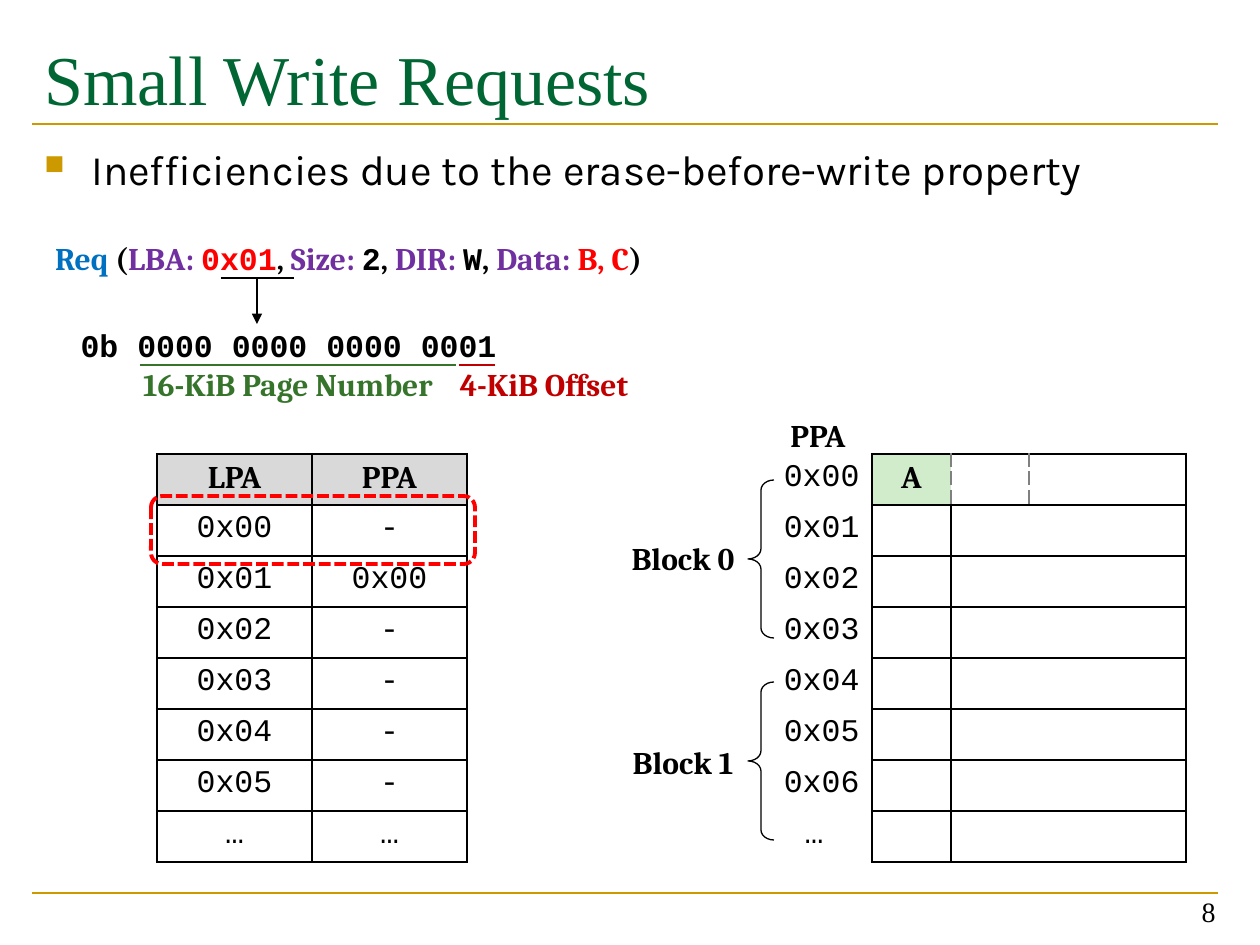
from dataclasses import dataclass
from typing import Optional

import pptx
import pptx.dml.color
import pptx.enum.dml
import pptx.enum.shapes
import pptx.enum.text
import pptx.oxml.ns
import pptx.util
from lxml import etree

RGBColor = pptx.dml.color.RGBColor
Align = pptx.enum.text.PP_ALIGN
Anchor = pptx.enum.text.MSO_ANCHOR
Dash = pptx.enum.dml.MSO_LINE
Preset = pptx.enum.shapes.MSO_SHAPE
Pt = pptx.util.Pt
qn = pptx.oxml.ns.qn

BLACK = RGBColor(0x00, 0x00, 0x00)
WHITE = RGBColor(0xFF, 0xFF, 0xFF)
TITLE_GREEN = RGBColor(0x00, 0x66, 0x33)
GOLD = RGBColor(0xCC, 0x99, 0x00)
BLUE = RGBColor(0x00, 0x70, 0xC0)
PURPLE = RGBColor(0x70, 0x30, 0xA0)
RED = RGBColor(0xFF, 0x00, 0x00)
DARK_RED = RGBColor(0xC0, 0x00, 0x00)
PAGE_GREEN = RGBColor(0x35, 0x74, 0x2A)
HEADER_GREY = RGBColor(0xD9, 0xD9, 0xD9)
DATA_GREEN = RGBColor(0xD0, 0xEC, 0xCB)
DASH_GREY = RGBColor(0x80, 0x80, 0x80)

SERIF, MONO, TITLE_FONT, BODY_FONT = "Cambria", "Courier New", "Times New Roman", "Karla"
EMU_PER_PIXEL = 914400 / 126
NO_TABLE_STYLE = "{2D5ABB26-0587-4C30-8999-92F81FD0307C}"
ROW_HEIGHT, TABLE_TOP = 51, 454


@dataclass
class Label:
    text: str
    box: tuple[int, int, int, int]
    color: RGBColor = BLACK
    font: str = SERIF
    size: int = 18
    bold: bool = True
    align: Align = Align.CENTER
    anchor: Anchor = Anchor.MIDDLE
    wrap: bool = True


@dataclass
class Rule:
    start: tuple[int, int]
    end: tuple[int, int]
    color: RGBColor
    arrow: bool = False


@dataclass
class Border:
    width: float = 1.5
    color: RGBColor = BLACK
    dash: Optional[str] = None


def px(length: int) -> int:
    return round(length * EMU_PER_PIXEL)


def style(paragraph, font: Optional[str], size: int, color: Optional[RGBColor], bold: bool, align: Align) -> None:
    paragraph.alignment = align
    paragraph.font.size = Pt(size)
    paragraph.font.bold = bold
    if font:
        paragraph.font.name = font
    if color is not None:
        paragraph.font.color.rgb = color


def add_label(label: Label):
    frame = slide.shapes.add_textbox(*map(px, label.box)).text_frame
    frame.word_wrap = label.wrap
    frame.vertical_anchor = label.anchor
    paragraph = frame.paragraphs[0]
    paragraph.text = label.text
    style(paragraph, label.font, label.size, label.color, label.bold, label.align)
    return paragraph


def add_rule(rule: Rule) -> None:
    connector = slide.shapes.add_connector(
        pptx.enum.shapes.MSO_CONNECTOR.STRAIGHT, *map(px, rule.start + rule.end))
    connector.line.color.rgb = rule.color
    connector.line.width = Pt(1.5)
    properties = connector.line._get_or_add_ln()
    if rule.arrow:
        etree.SubElement(properties, qn("a:tailEnd"), type="triangle")
    etree.SubElement(properties.getparent(), qn("a:effectLst"))


def add_outline(preset: Preset, box: tuple[int, int, int, int], color: RGBColor, width: float):
    shape = slide.shapes.add_shape(preset, *map(px, box))
    shape.shadow.inherit = False
    shape.fill.background()
    shape.line.color.rgb = color
    shape.line.width = Pt(width)
    return shape


def add_grid(left: int, widths: list[int], row_count: int):
    table = slide.shapes.add_table(
        row_count, len(widths), px(left), px(TABLE_TOP),
        px(sum(widths)), px(ROW_HEIGHT * row_count)).table
    table.first_row = table.horz_banding = False
    table._tbl.tblPr.find(qn("a:tableStyleId")).text = NO_TABLE_STYLE
    for column, width in zip(table.columns, widths):
        column.width = px(width)
    for row in table.rows:
        row.height = px(ROW_HEIGHT)
    return table


def fill_cell(cell, text: str, fill: RGBColor, borders: dict[str, Border],
              font: str = MONO, bold: bool = False, align: Align = Align.CENTER) -> None:
    properties = cell._tc.get_or_add_tcPr()
    for side in "LRTB":
        if side in borders:
            border = borders[side]
            edge = etree.SubElement(properties, qn(f"a:ln{side}"), w=str(Pt(border.width)))
            paint = etree.SubElement(edge, qn("a:solidFill"))
            etree.SubElement(paint, qn("a:srgbClr"), val=str(border.color))
            if border.dash:
                etree.SubElement(edge, qn("a:prstDash"), val=border.dash)
    cell.fill.solid()
    cell.fill.fore_color.rgb = fill
    cell.text = text
    style(cell.text_frame.paragraphs[0], font, 18, BLACK, bold, align)


presentation = pptx.Presentation()
presentation.slide_width, presentation.slide_height = px(1260), px(945)
slide = presentation.slides.add_slide(presentation.slide_layouts[6])

for rule_y in (893, 124):
    add_rule(Rule((32, rule_y), (1218, rule_y), GOLD))

add_label(Label("Small Write Requests", (32, 29, 1187, 95), TITLE_GREEN, TITLE_FONT, 40,
                False, Align.LEFT, Anchor.TOP))
point = add_label(Label("Inefficiencies due to the erase-before-write property", (32, 137, 1187, 70),
                        BLACK, BODY_FONT, 24, False, Align.LEFT, Anchor.TOP))
point.space_before = Pt(4)
point_properties = point._p.get_or_add_pPr()
point_properties.set("marL", str(px(47)))
point_properties.set("indent", str(px(-47)))
bullet_color = etree.Element(qn("a:buClr"))
etree.SubElement(bullet_color, qn("a:srgbClr"), val=str(GOLD))
bullet_size = etree.Element(qn("a:buSzPct"), val="65000")
bullet_mark = etree.Element(qn("a:buChar"), char="■")
for bullet_part in (bullet_color, bullet_size, bullet_mark):
    point_properties.find(qn("a:defRPr")).addprevious(bullet_part)

add_label(Label("8", (934, 871, 294, 63), BLACK, TITLE_FONT, 16, False, Align.RIGHT, Anchor.BOTTOM))

request = add_label(Label("", (32, 233, 640, 50)))
style(request, None, 18, None, True, Align.CENTER)
for words, font, color in (
    ("Req", SERIF, BLUE), (" (", SERIF, BLACK),
    ("LBA: ", SERIF, PURPLE), ("0x01", MONO, RED), (", ", SERIF, BLACK),
    ("Size: ", SERIF, PURPLE), ("2", MONO, BLACK), (", ", SERIF, BLACK),
    ("DIR: ", SERIF, PURPLE), ("W", MONO, BLACK), (", ", SERIF, BLACK),
    ("Data: ", SERIF, PURPLE), ("B, C", SERIF, RED), (") ", SERIF, BLACK),
):
    run = request.add_run()
    run.text = words
    run.font.name = font
    run.font.color.rgb = color

mapping = [("LPA", "PPA"), ("0x00", "-"), ("0x01", "0x00")]
mapping += [(f"0x0{address}", "-") for address in range(2, 6)] + [("…", "…")]
mapping_table = add_grid(157, [155, 155], len(mapping))
for row, entry in enumerate(mapping):
    header = row == 0
    mapping_borders = {
        "L": Border(), "R": Border(),
        "T": Border(1.5 if row <= 1 else 1),
        "B": Border(1.5 if row in (0, len(mapping) - 1) else 1),
    }
    for column, value in enumerate(entry):
        fill_cell(mapping_table.cell(row, column), value, HEADER_GREY if header else WHITE,
                  mapping_borders, SERIF if header else MONO, header)

pages = [f"0x0{address}" for address in range(7)] + ["…"]
flash_table = add_grid(756, [116, 79, 78, 79, 78], len(pages))
sector_split = Border(1, DASH_GREY, "sysDash")
for row, page in enumerate(pages):
    fill_cell(flash_table.cell(row, 0), page, WHITE, {"R": Border()},
              align=Align.CENTER if page == "…" else Align.RIGHT)
    for sector in range(1, 5):
        holds_data = row == 0 and sector == 1
        sector_borders = {"T": Border(), "B": Border()}
        if sector == 1:
            sector_borders["L"] = Border()
        if sector == 4:
            sector_borders["R"] = Border()
        if holds_data:
            sector_borders["R"] = sector_split
        if row == 0 and sector == 2:
            sector_borders["L"] = sector_split
        fill_cell(flash_table.cell(row, sector), "A" if holds_data else "",
                  DATA_GREEN if holds_data else WHITE, sector_borders, SERIF, holds_data)

for label in (
    Label("PPA", (777, 410, 82, 50), anchor=Anchor.TOP, wrap=False),
    Label("0b 0000 0000 0000 0001", (20, 320, 537, 50), font=MONO),
    Label("4-KiB Offset", (432, 359, 224, 50), DARK_RED),
    Label("16-KiB Page Number", (107, 339, 362, 89), PAGE_GREEN),
):
    add_label(label)

for block, (label_top, brace_top) in enumerate(((533, 480), (737, 682))):
    add_label(Label(f"Block {block}", (610, label_top, 146, 50), anchor=Anchor.TOP))
    brace = add_outline(Preset.LEFT_BRACE, (748, brace_top, 26, 158), BLACK, 0.75)
    brace.adjustments[0] = 0.39

highlight = add_outline(Preset.ROUNDED_RECTANGLE, (151, 496, 324, 68), RED, 2.25)
highlight.line.dash_style = Dash.SQUARE_DOT

for rule in (
    Rule((140, 365), (456, 365), PAGE_GREEN),
    Rule((459, 365), (495, 365), DARK_RED),
    Rule((221, 278), (294, 278), BLACK),
    Rule((257, 278), (257, 324), BLACK, arrow=True),
):
    add_rule(rule)

presentation.save("out.pptx")
